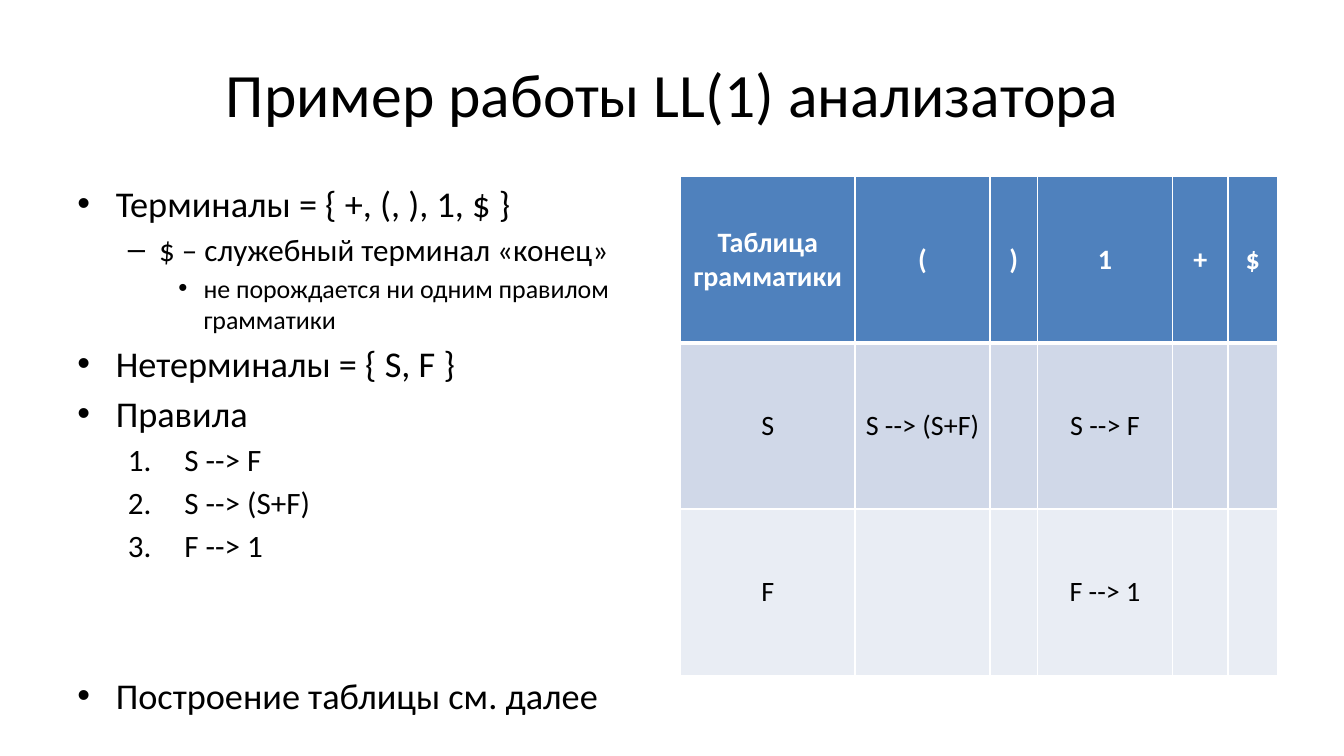
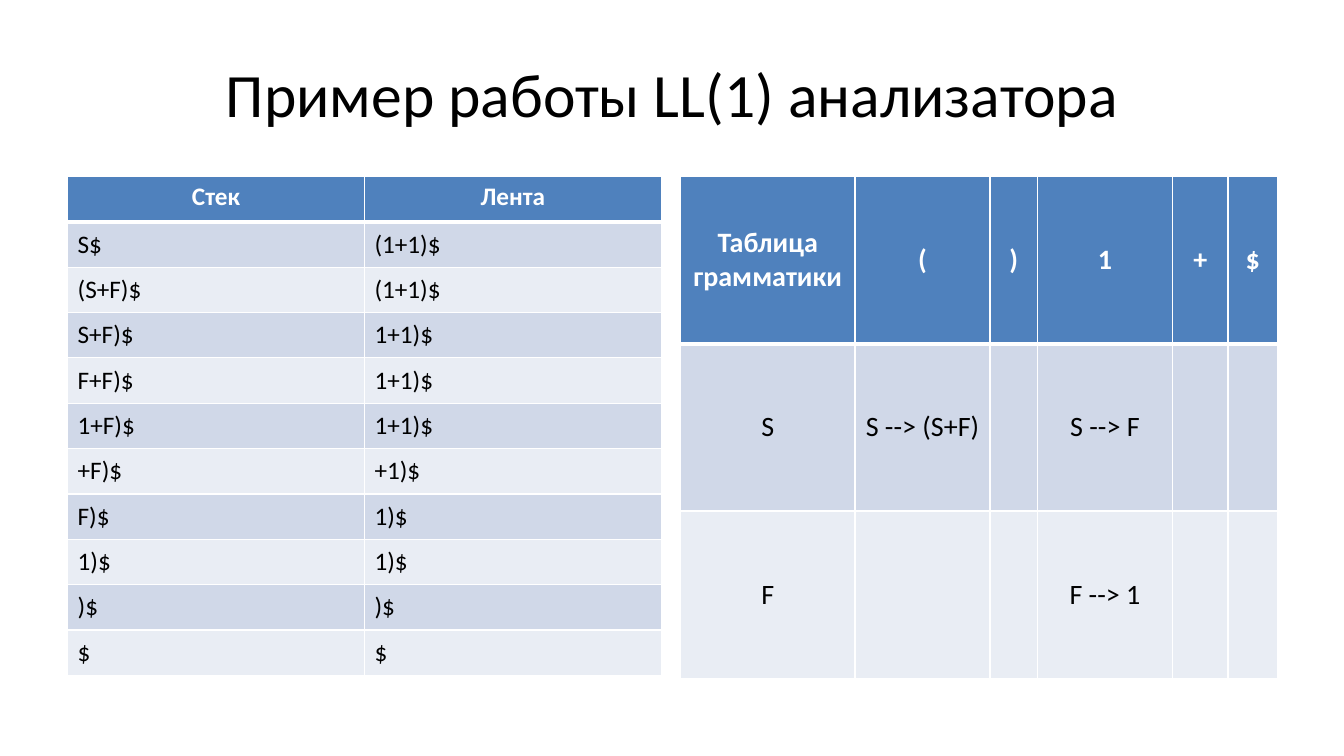
from lxml import etree
from pptx import Presentation
from pptx import util as u
from pptx.dml.color import RGBColor
from pptx.enum import text
from pptx.oxml.ns import qn

COLORS = {"ink": "000000", "white": "FFFFFF", "header": "4F81BD",
          "odd": "D0D8E8", "even": "E9EDF4"}
FONT = "Calibri"
TITLE = "Пример работы LL(1) анализатора"
LEFT, RIGHT, TOP, BODY_W, BODY_H = 0.67, 6.75, 1.75, 5.89, 4.95
CENTER, MIDDLE = text.PP_ALIGN.CENTER, text.MSO_ANCHOR.MIDDLE

# Bullet style: size, left margin, hanging indent, space before, mark
BULLETS = {
    "main": (25.9, 0.38, 0.38, 4.8, "•"),
    "sub": (22.2, 0.81, 0.31, 4, "–"),
    "detail": (18.5, 1.25, 0.25, 3.3, "•"),
    "rule": (22.2, 1.06, 0.56, 4, None),  # numbered
}


def rgb(name):
    return RGBColor.from_string(COLORS[name])


def write(p, content, size=18, color="ink", bold=False, align=None):
    if align is not None:
        p.alignment = align
    r = p.add_run()
    r.text = content
    r.font.name, r.font.size, r.font.bold = FONT, u.Pt(size), bold
    r.font.color.rgb = rgb(color)


class Deck:
    """Shared style and the current slide."""

    def __init__(self):
        self.prs = Presentation()
        self.prs.slide_width, self.prs.slide_height = u.Inches(13.33), u.Inches(7.5)
        self.s = None

    def slide(self, title):
        self.s = self.prs.slides.add_slide(self.prs.slide_layouts[6])
        tf = self.text_frame(LEFT, 0.3, 12, 1.25)
        tf.vertical_anchor = MIDDLE
        write(tf.paragraphs[0], title, size=44, align=CENTER)

    def text_frame(self, *box):
        tf = self.s.shapes.add_textbox(*map(u.Inches, box)).text_frame
        tf.word_wrap = True
        return tf

    def bullets(self, items, *box):
        """Each item: style, text and optional extra space before in points."""
        tf = self.text_frame(*box)
        for i, (style, content, *gap) in enumerate(items):
            size, margin, hang, before, mark = BULLETS[style]
            p = tf.add_paragraph() if i else tf.paragraphs[0]
            pPr = p._p.get_or_add_pPr()
            pPr.set("marL", str(u.Inches(margin)))
            pPr.set("indent", str(-u.Inches(hang)))
            if mark:
                etree.SubElement(pPr, qn("a:buFont"), typeface="Arial")
                etree.SubElement(pPr, qn("a:buChar"), char=mark)
            else:
                etree.SubElement(pPr, qn("a:buFont"), typeface="+mj-lt")
                etree.SubElement(pPr, qn("a:buAutoNum"), type="arabicPeriod")
            if i:
                p.space_before = u.Pt(before + sum(gap))
            write(p, content, size=size)

    def borders(self, cell, top=1, bottom=1):
        tcPr = cell._tc.get_or_add_tcPr()
        for side, width in zip("LRTB", (1, 1, top, bottom)):
            ln = etree.SubElement(tcPr, qn(f"a:ln{side}"), w=str(u.Pt(width)))
            fill = etree.SubElement(ln, qn("a:solidFill"))
            etree.SubElement(fill, qn("a:srgbClr"), val=COLORS["white"])

    def table(self, rows, x, widths, height, size, align=None, header_anchor=MIDDLE):
        box = map(u.Inches, (x, TOP, sum(widths), height))
        table = self.s.shapes.add_table(len(rows), len(widths), *box).table
        for col, width in zip(table.columns, widths):
            col.width = u.Inches(width)
        for i, row in enumerate(rows):
            table.rows[i].height = u.Inches(height / len(rows))
            head = i == 0
            for j, content in enumerate(row):
                cell = table.cell(i, j)
                self.borders(cell, top=3 if i == 1 else 1, bottom=3 if head else 1)
                cell.fill.solid()
                cell.fill.fore_color.rgb = rgb("header" if head else "odd" if i % 2 else "even")
                cell.vertical_anchor = header_anchor if head else MIDDLE
                if content:
                    write(cell.text_frame.paragraphs[0], content, size=size, bold=head,
                          color="white" if head else "ink", align=CENTER if head else align)

    def grammar(self, height):
        rows = [("Таблица грамматики", "(", ")", "1", "+", "$"),
                ("S", "S --> (S+F)", "", "S --> F", "", ""),
                ("F", "", "", "F --> 1", "", "")]
        self.table(rows, RIGHT, (1.73, 1.34, 0.47, 1.34, 0.55, 0.49), height, 20, align=CENTER)


def main():
    deck = Deck()

    # Grammar definition
    deck.slide(TITLE)
    deck.bullets([
        ("main", "Терминалы = { +, (, ), 1, $ }"),
        ("sub", "$ – служебный терминал «конец»"),
        ("detail", "не порождается ни одним правилом грамматики"),
        ("main", "Нетерминалы = { S, F }"),
        ("main", "Правила"),
        ("rule", "S --> F"),
        ("rule", "S --> (S+F)"),
        ("rule", "F --> 1"),
        ("main", "Построение таблицы см. далее", 73),
    ], LEFT, TOP, BODY_W, BODY_H)
    deck.grammar(BODY_H)

    # Parsing trace
    deck.slide(TITLE)
    trace = [("Стек", "Лента"), ("S$", "(1+1)$"), ("(S+F)$", "(1+1)$"),
             ("S+F)$", "1+1)$"), ("F+F)$", "1+1)$"), ("1+F)$", "1+1)$"),
             ("+F)$", "+1)$"), ("F)$", "1)$"), ("1)$", "1)$"), (")$", ")$"), ("$", "$")]
    deck.table(trace, LEFT, (BODY_W / 2,) * 2, BODY_H, 18, header_anchor=text.MSO_ANCHOR.TOP)
    deck.grammar(4.98)

    deck.prs.save("out.pptx")


if __name__ == "__main__":
    main()
